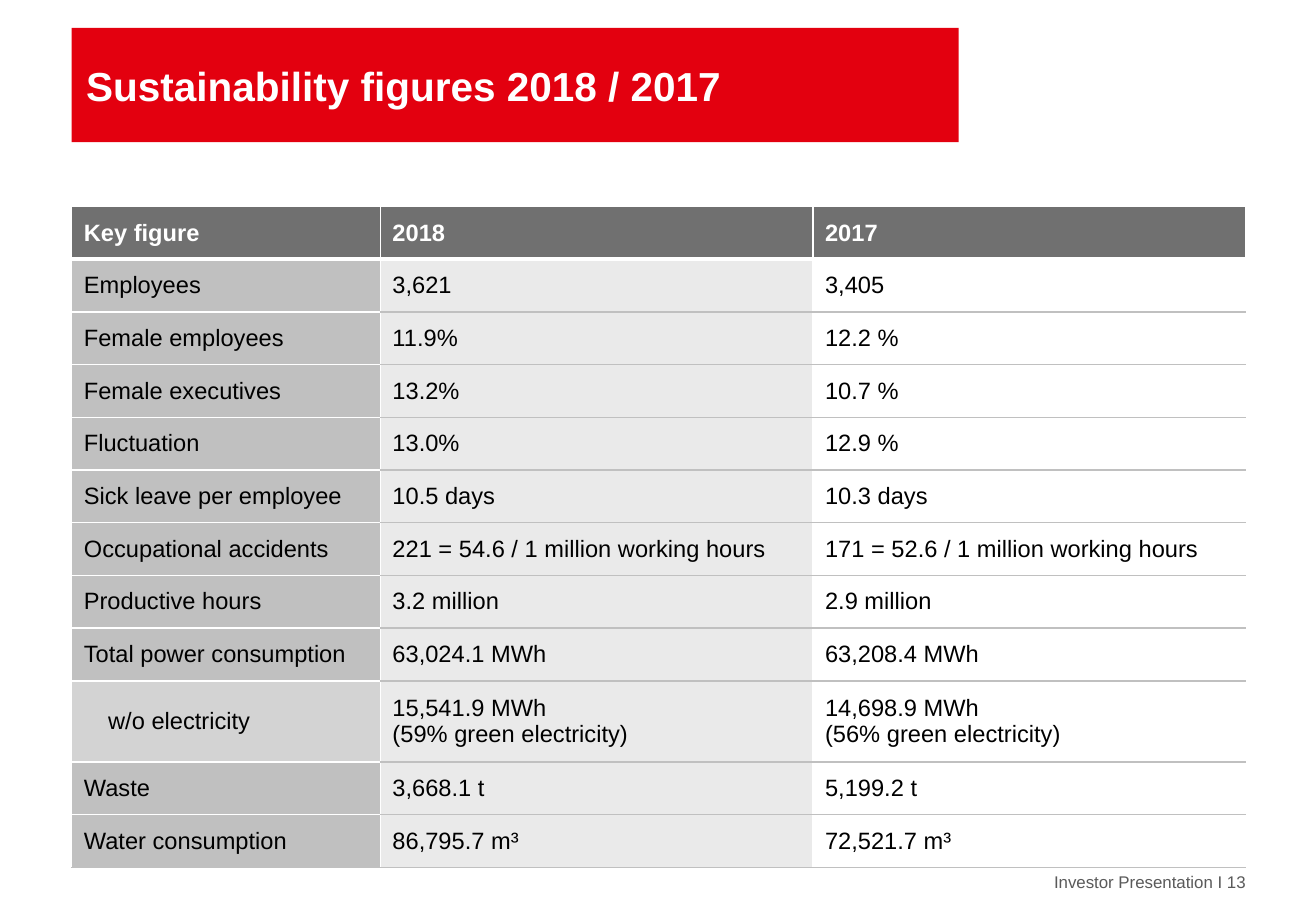
"""Build the sustainability key figures slide."""
import pptx
import pptx.dml.color
import pptx.enum.shapes
import pptx.enum.text
import pptx.oxml
import pptx.oxml.ns
import pptx.util
from pptx.util import Inches

TITLE = "Sustainability figures 2018 / 2017"
FOOTER = "Investor Presentation I 13"
SUB_ITEM = "w/o electricity"
ROWS = [
    ("Key figure", "2018", "2017"),
    ("Employees", "3,621", "3,405"),
    ("Female employees", "11.9%", "12.2 %"),
    ("Female executives", "13.2%", "10.7 %"),
    ("Fluctuation", "13.0%", "12.9 %"),
    ("Sick leave per employee", "10.5 days", "10.3 days"),
    ("Occupational accidents", "221 = 54.6 / 1 million working hours",
     "171 = 52.6 / 1 million working hours"),
    ("Productive hours", "3.2 million", "2.9 million"),
    ("Total power consumption", "63,024.1 MWh", "63,208.4 MWh"),
    (SUB_ITEM, "15,541.9 MWh\n(59% green electricity)",
     "14,698.9 MWh\n(56% green electricity)"),
    ("Waste", "3,668.1 t", "5,199.2 t"),
    ("Water consumption", "86,795.7 m³", "72,521.7 m³"),
]
COLUMN_WIDTHS = (2.54, 3.56, 3.56)
ROW_HEIGHTS = [0.41] + [0.39] * 8 + [0.43] + [0.39] * 2
COLUMN_FILLS = ("C0C0C0", "EAEAEA", "FFFFFF")
HEADER_FILL, SUB_ITEM_FILL = "707070", "D3D3D3"
RED, WHITE, BLACK, RULE, FOOTER_GREY = "E3000F", "FFFFFF", "000000", "C0C0C0", "5A5A5A"
LEFT = 0.59


def rgb(value):
    return pptx.dml.color.RGBColor.from_string(value)


def write(text_frame, text, size, color, bold=False, align=None, margin=0):
    text_frame.text = text
    text_frame.word_wrap = True
    text_frame.margin_left = text_frame.margin_right = Inches(margin)
    text_frame.margin_top = text_frame.margin_bottom = Inches(margin)
    for paragraph in text_frame.paragraphs:
        paragraph.alignment = align
        for run in paragraph.runs:
            run.font.name = "Arial"
            run.font.size = pptx.util.Pt(size)
            run.font.bold = bold
            run.font.color.rgb = rgb(color)


def add_text(slide, box, text, size, color, anchor, **style):
    text_frame = slide.shapes.add_textbox(*map(Inches, box)).text_frame
    write(text_frame, text, size, color, **style)
    text_frame.vertical_anchor = anchor


def bottom_border(row, column):
    if row <= 0:
        return WHITE, 3 if row == 0 else 1
    if column == 0 and row < len(ROWS) - 1:
        return WHITE, 1
    return RULE, 1


def set_borders(cell, row, column):
    borders = (("L", (WHITE, 1)), ("R", (WHITE, 1)),
               ("T", bottom_border(row - 1, column)), ("B", bottom_border(row, column)))
    properties = cell._tc.get_or_add_tcPr()
    for index, (side, (color, width)) in enumerate(borders):
        line = pptx.oxml.parse_xml(
            f'<a:ln{side} {pptx.oxml.ns.nsdecls("a")} w="{pptx.util.Pt(width)}">'
            f'<a:solidFill><a:srgbClr val="{color}"/></a:solidFill></a:ln{side}>')
        properties.insert(index, line)


def fill_cell(cell, text, row, column):
    header = row == 0
    write(cell.text_frame, text, 14, WHITE if header else BLACK, bold=header)
    cell.margin_left = cell.margin_right = Inches(0.1)
    cell.margin_top = cell.margin_bottom = Inches(0.1)
    cell.vertical_anchor = pptx.enum.text.MSO_ANCHOR.MIDDLE
    fill = HEADER_FILL if header else COLUMN_FILLS[column]
    if text == SUB_ITEM:
        fill = SUB_ITEM_FILL
        indent = cell.text_frame.paragraphs[0]._p.get_or_add_pPr()
        indent.set("marL", str(Inches(0.2)))
    cell.fill.solid()
    cell.fill.fore_color.rgb = rgb(fill)
    set_borders(cell, row, column)


def add_figures_table(slide):
    table = slide.shapes.add_table(
        len(ROWS), len(COLUMN_WIDTHS), Inches(LEFT), Inches(1.7),
        Inches(sum(COLUMN_WIDTHS)), Inches(sum(ROW_HEIGHTS))).table
    table.horz_banding = False
    for column, width in zip(table.columns, COLUMN_WIDTHS):
        column.width = Inches(width)
    for row, height in zip(table.rows, ROW_HEIGHTS):
        row.height = Inches(height)
    for row, texts in enumerate(ROWS):
        for column, text in enumerate(texts):
            fill_cell(table.cell(row, column), text, row, column)


def main():
    presentation = pptx.Presentation()
    presentation.slide_width = Inches(10.83)
    presentation.slide_height = Inches(7.5)
    slide = presentation.slides.add_slide(presentation.slide_layouts[6])

    banner = slide.shapes.add_shape(
        pptx.enum.shapes.MSO_SHAPE.RECTANGLE, *map(Inches, (LEFT, 0.23, 7.3, 0.94)))
    banner.shadow.inherit = False
    banner.fill.solid()
    banner.fill.fore_color.rgb = rgb(RED)
    banner.line.fill.background()

    anchors = pptx.enum.text.MSO_ANCHOR
    add_text(slide, (0.71, 0.23, 7.06, 0.94), TITLE, 24, WHITE, anchors.MIDDLE, bold=True)
    add_figures_table(slide)
    add_text(slide, (8.36, 7.18, 1.89, 0.2), FOOTER, 10, FOOTER_GREY, anchors.TOP,
             align=pptx.enum.text.PP_ALIGN.RIGHT)
    presentation.save("out.pptx")


if __name__ == "__main__":
    main()
